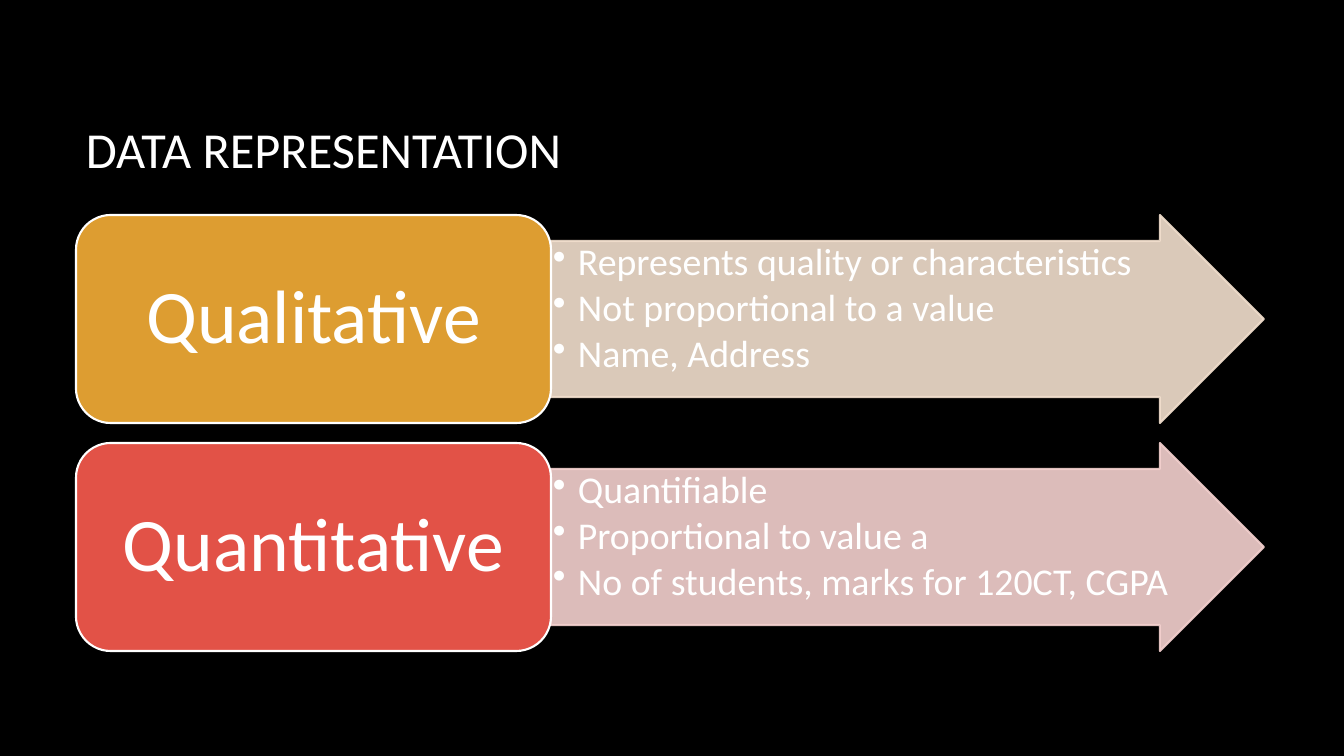
"""Build the data representation slide: two labelled arrows with bullet lists."""
from dataclasses import dataclass

from lxml.etree import SubElement
from pptx import Presentation
from pptx.dml.color import RGBColor
from pptx.enum.shapes import MSO_SHAPE
from pptx.enum.text import MSO_ANCHOR, PP_ALIGN
from pptx.oxml.ns import qn
from pptx.util import Pt

PIXEL = 914400 / 100.8


@dataclass(frozen=True)
class Theme:
    font: str = "Calibri"
    background: str = "000000"
    text: str = "FFFFFF"
    title_size: int = 36
    label_size: int = 54
    bullet_size: int = 27
    line_width: float = 1.5
    line_spacing: float = 0.9
    bullet_gap: float = 3.6
    arrow_opacity: int = 90


theme = Theme()


def px(length):
    return round(length * PIXEL)


def add_text(paragraph, text, size):
    run = paragraph.add_run()
    run.text = text
    run.font.name = theme.font
    run.font.size = Pt(size)
    run.font.color.rgb = RGBColor.from_string(theme.text)


presentation = Presentation()
presentation.slide_width = px(1344)
presentation.slide_height = px(756)
slide = presentation.slides.add_slide(presentation.slide_layouts[6])
slide.background.fill.solid()
slide.background.fill.fore_color.rgb = RGBColor.from_string(theme.background)

title = slide.shapes.add_textbox(px(76), px(68), px(1117), px(161))
title.text_frame.word_wrap = True
title.text_frame.vertical_anchor = MSO_ANCHOR.MIDDLE
add_text(title.text_frame.paragraphs[0], "DATA REPRESENTATION", theme.title_size)

rows = [
    ("Qualitative", "DD9D31", "F2DFCE",
     ["Represents quality or characteristics", "Not proportional to a value", "Name, Address"]),
    ("Quantitative", "E25247", "F4D1CF",
     ["Quantifiable", "Proportional to value a", "No of students, marks for 120CT, CGPA"]),
]
left, first_top, label_width, arrow_width, row_height, row_gap = 76, 215, 475, 713, 208, 20

for index, (label_text, label_color, arrow_color, bullets) in enumerate(rows):
    top = first_top + index * (row_height + row_gap)
    arrow = slide.shapes.add_shape(
        MSO_SHAPE.RIGHT_ARROW, px(left + label_width), px(top), px(arrow_width), px(row_height))
    arrow.adjustments[0] = 0.75
    arrow.adjustments[1] = 0.5
    label = slide.shapes.add_shape(
        MSO_SHAPE.ROUNDED_RECTANGLE, px(left), px(top), px(label_width), px(row_height))

    for shape, fill_color, line_color, anchor, inset in (
        (arrow, arrow_color, arrow_color, MSO_ANCHOR.TOP, 2),
        (label, label_color, theme.text, MSO_ANCHOR.MIDDLE, 11),
    ):
        shape.shadow.inherit = False
        shape.fill.solid()
        shape.fill.fore_color.rgb = RGBColor.from_string(fill_color)
        shape.line.color.rgb = RGBColor.from_string(line_color)
        shape.line.width = Pt(theme.line_width)
        frame = shape.text_frame
        frame.word_wrap = True
        frame.vertical_anchor = anchor
        frame.margin_left = frame.margin_right = px(inset)
        frame.margin_top = frame.margin_bottom = px(inset)

    for color in arrow._element.spPr.iter(qn("a:srgbClr")):
        SubElement(color, qn("a:alpha"), val=str(theme.arrow_opacity * 1000))

    paragraph = label.text_frame.paragraphs[0]
    paragraph.alignment = PP_ALIGN.CENTER
    paragraph.line_spacing = theme.line_spacing
    add_text(paragraph, label_text, theme.label_size)

    for position, bullet in enumerate(bullets):
        frame = arrow.text_frame
        paragraph = frame.add_paragraph() if position else frame.paragraphs[0]
        paragraph.alignment = PP_ALIGN.LEFT
        paragraph.line_spacing = theme.line_spacing
        paragraph.space_after = Pt(theme.bullet_gap)
        properties = paragraph._p.get_or_add_pPr()
        properties.set("marL", str(px(25)))
        properties.set("indent", str(-px(25)))
        SubElement(properties, qn("a:buChar"), char="•")
        add_text(paragraph, bullet, theme.bullet_size)

presentation.save("out.pptx")
